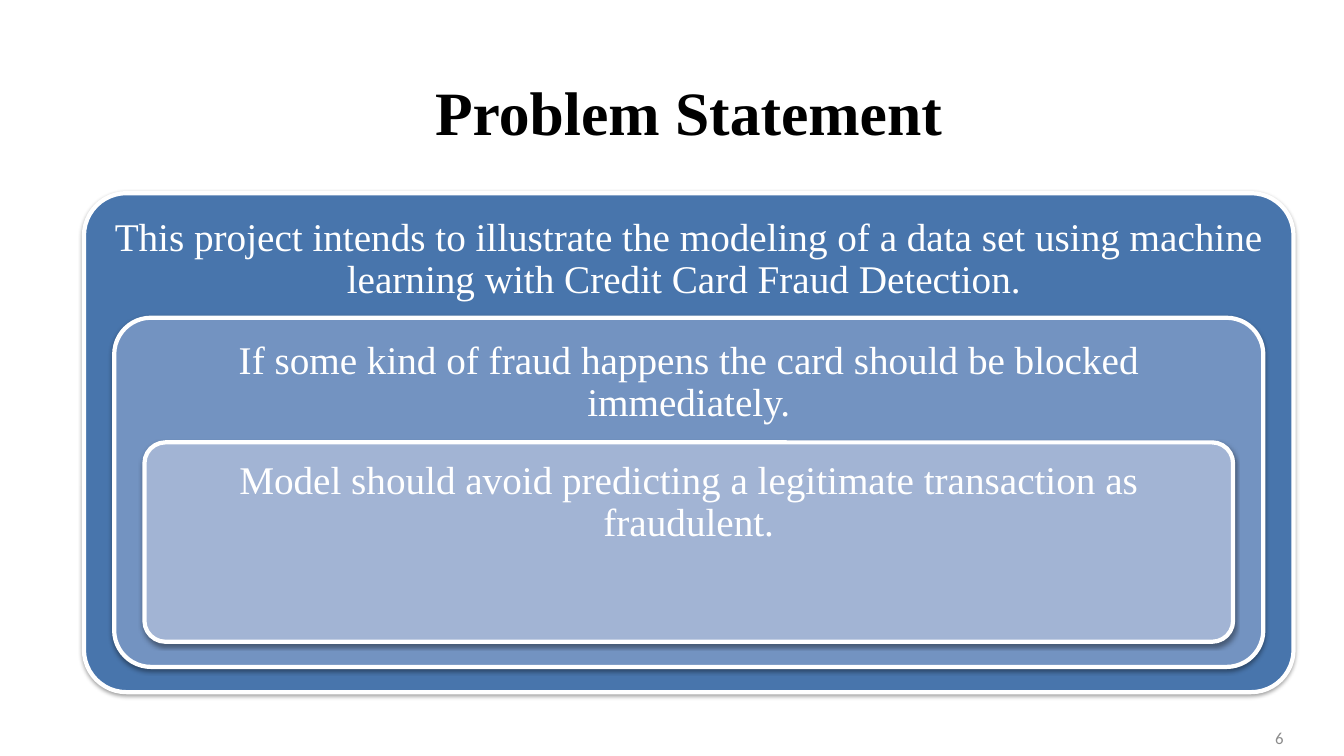
from lxml.etree import SubElement
from pptx import Presentation
from pptx.dml.color import RGBColor
from pptx.enum.shapes import MSO_SHAPE
from pptx.enum.text import MSO_ANCHOR, MSO_AUTO_SIZE, PP_ALIGN
from pptx.oxml.ns import qn
from pptx.util import Pt

PANELS = [
    ("4875AC", 0.085, "This project intends to illustrate the modeling of a data set "
                      "using machine learning with Credit Card Fraud Detection. "),
    ("7393C1", 0.105, "If some kind of fraud happens the card should be blocked immediately."),
    ("A2B4D4", 0.105, "Model should avoid predicting a legitimate transaction as fraudulent."),
]


def tint(color, code):
    color.rgb = RGBColor.from_string(code)


class Deck:
    serif = "Times New Roman"
    sans = "Calibri"

    def __init__(self):
        self.prs = Presentation()
        self.prs.slide_width, self.prs.slide_height = Pt(960), Pt(540)
        self.slide = self.prs.slides.add_slide(self.prs.slide_layouts[5])

    def label(self, frame, text, size, code, font, align, anchor, bold=False):
        frame.word_wrap = True
        frame.auto_size = MSO_AUTO_SIZE.NONE
        frame.vertical_anchor = anchor
        para = frame.paragraphs[0]
        para.alignment = align
        run = para.add_run()
        run.text = text
        run.font.size, run.font.name, run.font.bold = Pt(size), font, bold
        tint(run.font.color, code)
        return para

    def title(self, text, x, y, w, h):
        box = self.slide.shapes.title
        box.left, box.top, box.width, box.height = Pt(x), Pt(y), Pt(w), Pt(h)
        self.label(box.text_frame, text, 44, "000000", self.serif,
                   PP_ALIGN.CENTER, MSO_ANCHOR.MIDDLE, True)

    def number(self, text, x, y, w, h):
        box = self.slide.shapes.add_textbox(Pt(x), Pt(y), Pt(w), Pt(h))
        self.label(box.text_frame, text, 12, "8C8C8C", self.sans,
                   PP_ALIGN.RIGHT, MSO_ANCHOR.MIDDLE)

    def panel(self, text, fill, curve, x, y, w, h):
        box = self.slide.shapes.add_shape(
            MSO_SHAPE.ROUNDED_RECTANGLE, Pt(x), Pt(y), Pt(w), Pt(h))
        box.adjustments[0] = curve
        box.fill.solid()
        tint(box.fill.fore_color, fill)
        box.line.width = Pt(3)
        tint(box.line.color, "FFFFFF")
        self.shade(box)
        frame = box.text_frame
        frame.margin_left = frame.margin_right = Pt(8.4)
        frame.margin_top = frame.margin_bottom = Pt(8.4)
        para = self.label(frame, text, 28, "FFFFFF", self.serif,
                          PP_ALIGN.CENTER, MSO_ANCHOR.TOP)
        para.line_spacing = 0.9

    def shade(self, box):
        """Give the shape a soft shadow straight below it."""
        box.shadow.inherit = False
        effects = box._element.spPr.find(qn("a:effectLst"))
        outer = SubElement(effects, qn("a:outerShdw"), blurRad=str(Pt(3.1)),
                           dist=str(Pt(1.6)), dir="5400000", rotWithShape="0")
        color = SubElement(outer, qn("a:srgbClr"), val="000000")
        SubElement(color, qn("a:alpha"), val="38000")


def main():
    deck = Deck()
    deck.number("6", 700, 512.6, 224, 28.8)
    deck.title("Problem Statement", 60, 34, 864, 90)
    for i, (fill, curve, text) in enumerate(PANELS):
        deck.panel(text, fill, curve, 60 + 21.6 * i, 138 + 89 * i,
                   864 - 43.2 * i, 356.4 - 107 * i)
    deck.prs.save("out.pptx")


if __name__ == "__main__":
    main()
